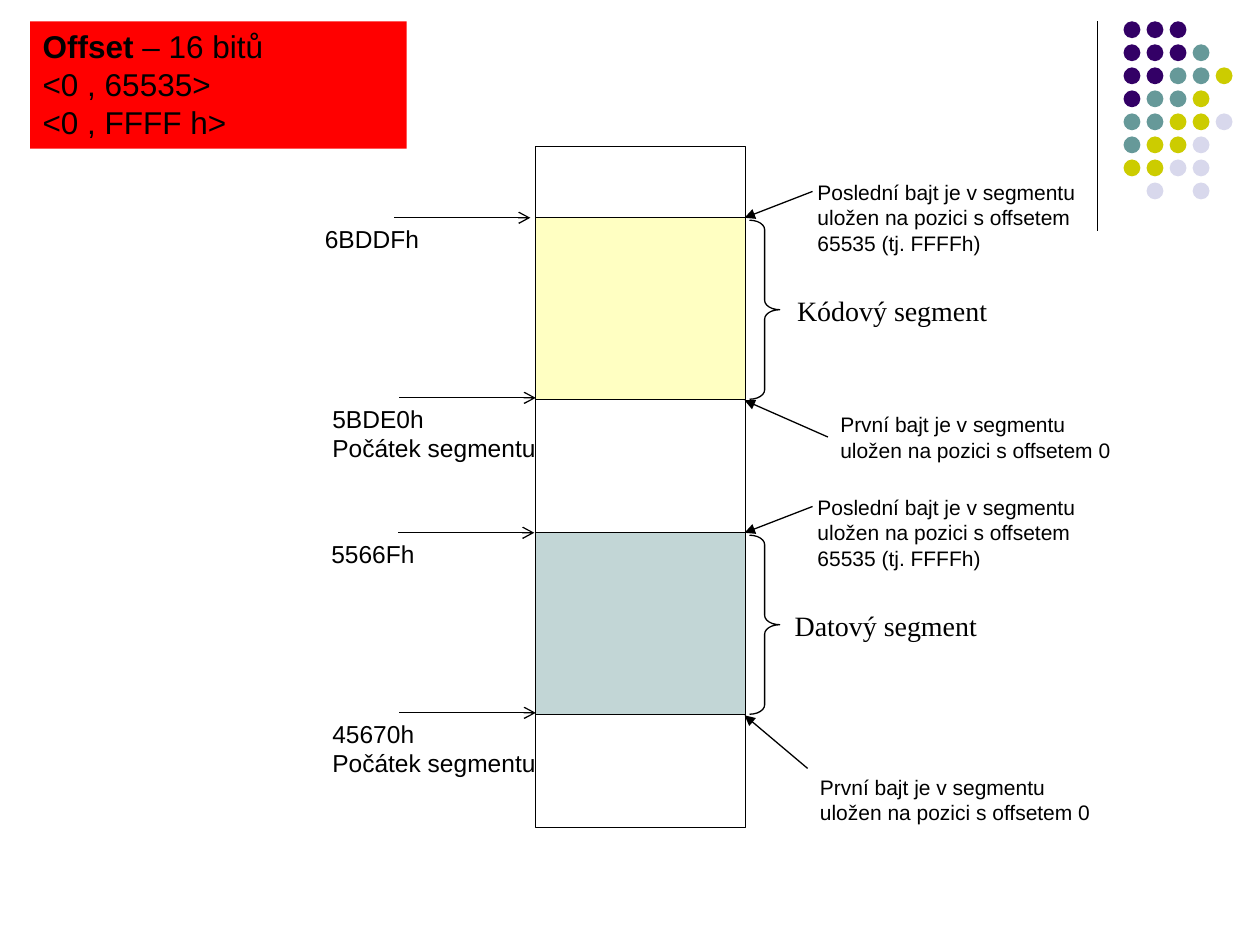
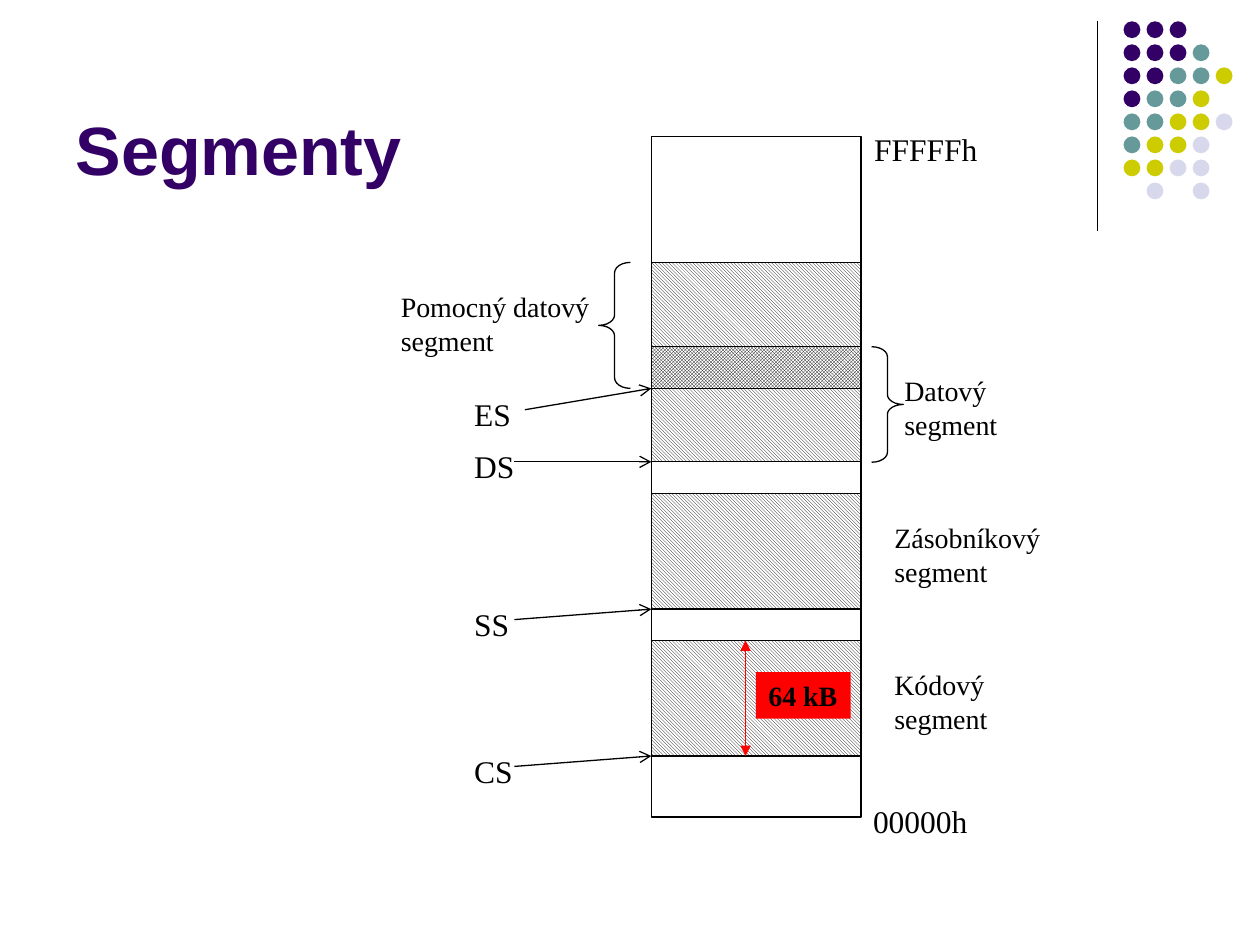
from dataclasses import dataclass

from lxml.etree import SubElement
from pptx import Presentation
from pptx.dml.color import RGBColor
from pptx.enum.dml import MSO_PATTERN_TYPE as Pat
from pptx.enum.shapes import MSO_CONNECTOR as Link, MSO_SHAPE as Kind
from pptx.enum.text import MSO_ANCHOR as Anchor, MSO_AUTO_SIZE as Fit, PP_ALIGN as Align
from pptx.oxml.ns import qn
from pptx.util import Cm, Pt


# Theme: colours, fonts and type sizes
@dataclass(frozen=True)
class Theme:
    ink: str = "000000"
    paper: str = "FFFFFF"
    alert: str = "FF0000"
    plum: str = "330066"
    teal: str = "669999"
    olive: str = "CCCC00"
    mist: str = "D8D8EC"
    cream: str = "FFFFC2"
    sage: str = "C2D6D6"
    rule: float = 0.75
    sans: str = "Arial"
    serif: str = "Times New Roman"
    title: int = 39
    large: int = 18
    label: int = 16
    mark: int = 14
    note: int = 12


T = Theme()

# Text formats
HEAD = {"name": T.sans, "size": Pt(T.title), "bold": True}
RANGE = {"name": T.sans, "size": Pt(T.large), "bold": False}
MARK = {"name": T.sans, "size": Pt(T.mark)}
NOTE = {"name": T.sans, "size": Pt(T.note)}
LABEL = {"name": T.serif, "size": Pt(T.label)}
REG = {"name": T.serif, "size": Pt(T.large)}
SIZE = {**LABEL, "bold": True}

# Shared corner: one letter for each dot, all lengths in cm
DOTS = ["PPP", "PPPT", "PPTTO", "PTTO", "TTOOM", "TOOM", "OOMM", " M M"]
HUES = {"P": T.plum, "T": T.teal, "O": T.olive, "M": T.mist}
DOT, STEP = 0.34, 3.25 / 7
CORNER = (22.65, 0.43)
RULE = ((22.12, 0.43), (22.12, 4.65))

# Slide 1 content
BAR_W, BAR_H = 4.23, 13.72
OFFSET = [[("Offset", True), (" – 16 bitů", False)], "<0 , 65535>", "<0 , FFFF h>"]
START = "Počátek segmentu"
FIRST = "První bajt je v segmentu uložen na pozici s offsetem 0"
LAST = "Poslední bajt je v segmentu uložen na pozici s offsetem 65535 (tj. FFFFh)"
SEG_H = 3.66
SEGS = [
    {"name": "Datový segment", "fill": T.sage, "top": 10.74, "name_x": 15.77,
     "high": "5566Fh", "high_x": 6.43, "tail_x": 8.03, "low": "45670h",
     "first": (16.28, 15.49), "tail": (16.28, 15.49)},
    {"name": "Kódový segment", "fill": T.cream, "top": 4.39, "name_x": 15.82,
     "high": "6BDDFh", "high_x": 6.3, "tail_x": 7.95, "low": "5BDE0h",
     "first": (16.69, 8.18), "tail": (16.69, 8.81)},
]

# Slide 2 content
TITLE = "Segmenty"
LINED, CHECK = Pat.LIGHT_DOWNWARD_DIAGONAL, Pat.SMALL_CHECKER_BOARD
BLOCKS = [  # top, bottom, pattern
    (12.91, 15.24, LINED), (9.95, 12.28, LINED), (7.83, 9.31, LINED),
    (5.29, 6.99, LINED), (6.99, 7.83, CHECK),
]
REGS = [  # name, label top, arrow start, tip height
    ("SS", 12.07, (10.37, 12.49), 12.28),
    ("CS", 15.03, (10.37, 15.45), 15.24),
    ("ES", 7.83, (10.58, 8.26), 7.83),
    ("DS", 8.89, (10.37, 9.31), 9.31),
]
ENDS = [("00000h", 17.35, 16.05), ("FFFFFh", 17.37, 2.49)]
NAMES = [  # text, left, top, width
    ("Kódový segment", 17.78, 13.34, 3.6),
    ("Zásobníkový segment", 17.78, 10.37, 3.6),
    ("Datový segment", 17.98, 7.41, 3.6),
    ("Pomocný datový segment", 7.83, 5.72, 4.66),
]
BRACES = [
    (Kind.RIGHT_BRACE, (17.57, 6.99, 0.64, 2.33), 0.31),
    (Kind.LEFT_BRACE, (12.07, 5.29, 0.64, 2.54), 0.33),
]


# Drawing helpers
def rgb(code):
    return RGBColor.from_string(code)


def style(font, form):
    for key, val in form.items():
        setattr(font, key, val)


def shape(home, kind, box, fill=None, line=T.ink, bend=None):
    item = home.shapes.add_shape(kind, *map(Cm, box))
    item.shadow.inherit = False
    if fill is None:
        item.fill.background()
    elif isinstance(fill, str):
        item.fill.solid()
        item.fill.fore_color.rgb = rgb(fill)
    else:
        item.fill.patterned()
        item.fill.pattern = fill
        item.fill.fore_color.rgb = rgb(T.ink)
        item.fill.back_color.rgb = rgb(T.paper)
    if line:
        item.line.color.rgb = rgb(line)
        item.line.width = Pt(T.rule)
    else:
        item.line.fill.background()
    if bend:
        item.adjustments[0] = bend
    return item


def link(home, start, end, tail=None, head=None, hue=T.ink):
    item = home.shapes.add_connector(Link.STRAIGHT, *map(Cm, (*start, *end)))
    item.line.color.rgb = rgb(hue)
    item.line.width = Pt(T.rule)
    props = item.element.spPr
    for tag, tip in (("a:headEnd", head), ("a:tailEnd", tail)):
        if tip:
            SubElement(props.find(qn("a:ln")), qn(tag), type=tip)
    SubElement(props, qn("a:effectLst"))


def write(frame, lines, form, hue=T.ink, anchor=Anchor.TOP):
    style(frame, {"word_wrap": True, "auto_size": Fit.NONE, "vertical_anchor": anchor})
    for num, line in enumerate(lines):
        par = frame.add_paragraph() if num else frame.paragraphs[0]
        par.alignment = Align.LEFT
        runs = [(line, form.get("bold", False))] if isinstance(line, str) else line
        for words, bold in runs:
            run = par.add_run()
            run.text = words
            style(run.font, {**form, "bold": bold})
            run.font.color.rgb = rgb(hue)


def text(page, box, form, *lines):
    write(page.shapes.add_textbox(*map(Cm, box)).text_frame, lines, form)


def corner(deck, page):
    """Build the rule and dots, then move them to the master."""
    group = page.shapes.add_group_shape()
    link(group, *RULE)
    left, top = CORNER
    for row, marks in enumerate(DOTS):
        for col, mark in enumerate(marks):
            if mark in HUES:
                box = (left + col * STEP, top + row * STEP, DOT, DOT)
                shape(group, Kind.OVAL, box, HUES[mark], None)
    for num, tag in enumerate(group.element.iter(qn("p:cNvPr")), 100):
        tag.set("id", str(num))
    deck.slide_master.shapes.element.append(group.element)


# Slide 1: offsets within two segments
def offsets(page):
    left, edge = 10.8, 15.01
    shape(page, Kind.RECTANGLE, (left, 2.96, BAR_W, BAR_H))
    box = shape(page, Kind.RECTANGLE, (0.61, 0.43, 7.59, 2.57), T.alert, None)
    write(box.text_frame, OFFSET, RANGE)
    for seg in SEGS:
        top, tail = seg["top"], seg["tail_x"]
        low = top + 3.63
        shape(page, Kind.RECTANGLE, (left, top, BAR_W, SEG_H), seg["fill"])
        shape(page, Kind.RIGHT_BRACE, (15.11, top + 0.05, 0.61, 3.61), bend=0.31)
        text(page, (seg["name_x"], top + 1.4, 5.18, 0.94), LABEL, seg["name"])
        # Addresses on the left
        link(page, (tail, top), (tail + 2.74, top), "arrow")
        text(page, (seg["high_x"], top, 3.1, 0.86), MARK, seg["high"])
        link(page, (8.05, low), (left, low), "arrow")
        text(page, (6.45, low, 5, 1.45), MARK, seg["low"], START)
        # Notes on the right
        link(page, (16.38, top - 0.53), (edge, top), "triangle")
        text(page, (16.23, top - 0.89, 6.02, 1.8), NOTE, LAST)
        link(page, seg["tail"], (edge, top + 3.68), "triangle")
        text(page, (*seg["first"], 6.02, 1.27), NOTE, FIRST)


# Slide 2: segments in memory
def memory(page):
    left = 13.13
    head = page.shapes.title
    style(head, dict(zip(("left", "top", "width", "height"),
                         map(Cm, (1.27, 0.33, 20.96, 3.61)))))
    write(head.text_frame, [TITLE], HEAD, T.plum, Anchor.BOTTOM)
    shape(page, Kind.RECTANGLE, (left, 2.75, BAR_W, BAR_H))
    for words, x, y in ENDS:
        text(page, (x, y, 3.35, 1.02), REG, words)
    for top, low, fill in BLOCKS:
        shape(page, Kind.RECTANGLE, (left, top, BAR_W, low - top), fill)
    for name, top, start, tip in REGS:
        text(page, (9.31, top, 1.7, 1.02), REG, name)
        link(page, start, (left, tip), "arrow")
    for words, x, y, wide in NAMES:
        text(page, (x, y, wide, 1.63), LABEL, words)
    for kind, box, bend in BRACES:
        shape(page, kind, box, bend=bend)
    # Size of the code segment
    top, low, _ = BLOCKS[0]
    link(page, (15.03, top), (15.03, low), "triangle", "triangle", T.alert)
    box = shape(page, Kind.RECTANGLE, (15.24, 13.55, 1.91, 0.94), T.alert, None)
    write(box.text_frame, ["64 kB"], SIZE)


def main():
    deck = Presentation()
    deck.slide_width, deck.slide_height = Cm(25.4), Cm(19.05)
    bare, titled = deck.slide_layouts[6], deck.slide_layouts[5]
    page = deck.slides.add_slide(bare)
    corner(deck, page)
    offsets(page)
    memory(deck.slides.add_slide(titled))
    deck.save("out.pptx")


if __name__ == "__main__":
    main()
